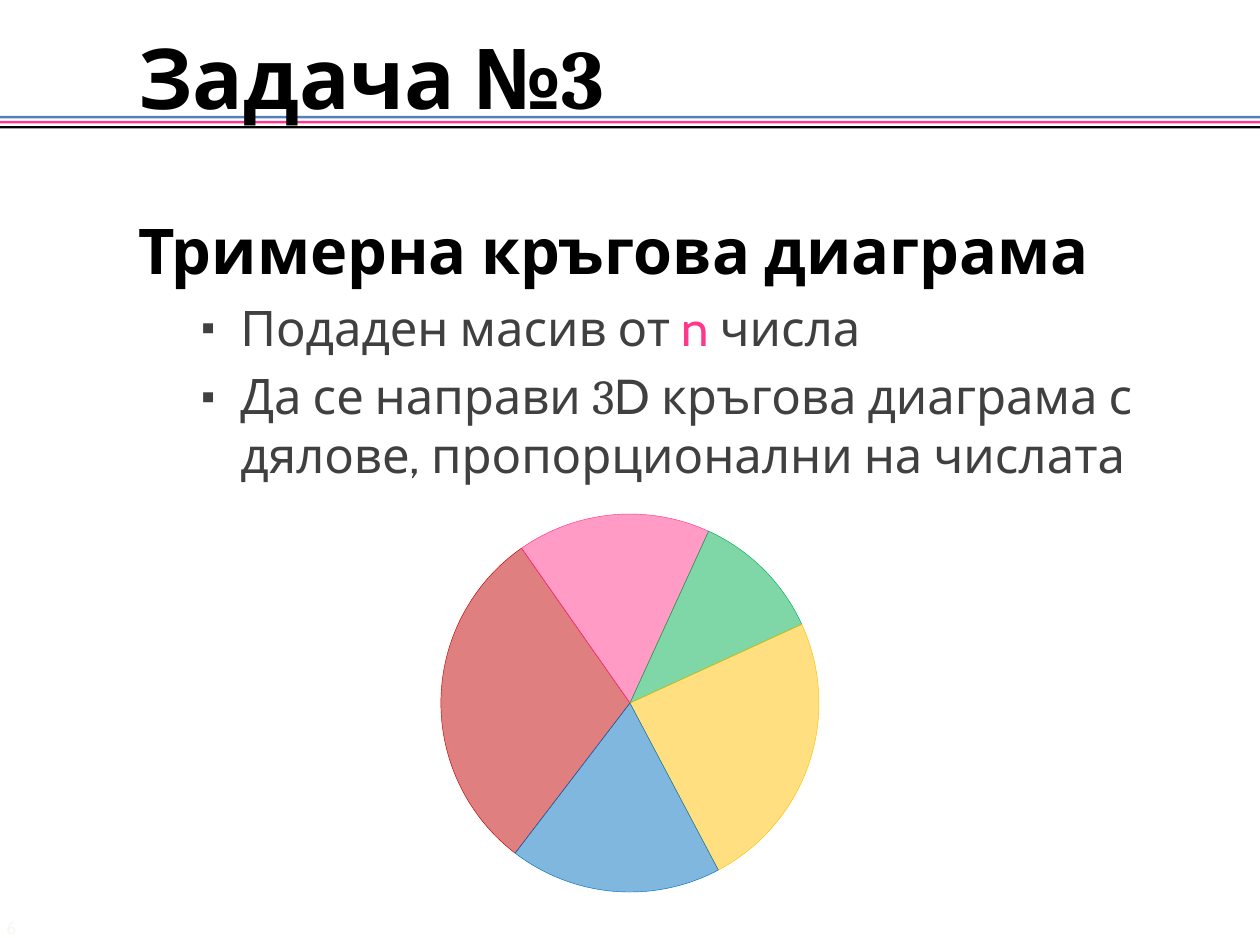
from lxml import etree
from pptx import Presentation
from pptx.dml.color import RGBColor
from pptx.enum.shapes import MSO_SHAPE
from pptx.enum.text import MSO_ANCHOR
from pptx.oxml.ns import qn
from pptx.util import Inches, Pt

RECTANGLE, PIE = MSO_SHAPE.RECTANGLE, MSO_SHAPE.PIE
TOP, MIDDLE = MSO_ANCHOR.TOP, MSO_ANCHOR.MIDDLE

THEME = {
    "blue": "4F81BD", "pink": "FF388C", "black": "000000", "gray": "404040",
    "pale": "F8F8F0", "main": "Cabin", "digits": "Cambria",
    "title": 48, "heading": 36, "body": 28, "number": 10,
}

TITLE = [("Задача №", "black", "main"), ("3", "black", "digits")]
HEADING = [("Тримерна кръгова диаграма", "black", "main")]
BULLETS = [
    [("Подаден масив от ", "gray", "main"), ("n ", "pink", "main"), ("числа", "gray", "main")],
    [("Да се направи ", "gray", "main"), ("3", "gray", "digits"),
     ("D кръгова диаграма с дялове, пропорционални на числата", "gray", "main")],
]
SLIDE_NUMBER = [("6", "pale", "main")]
STRIPES = ["blue", "pink", "black"]
FIRST_ANGLE = 127.4
SLICES = [("C00000", 107.6), ("FF388C", 59.6), ("00B050", 40.8), ("FFC000", 86.7), ("0070C0", 65.3)]


def add_text_box(slide, left, top, width, height, anchor=TOP, side_inset=0.1):
    """Add a wrapping text box and return its text frame."""
    frame = slide.shapes.add_textbox(
        Inches(left), Inches(top), Inches(width), Inches(height)).text_frame
    frame.word_wrap = True
    frame.vertical_anchor = anchor
    frame.margin_left = frame.margin_right = Inches(side_inset)
    return frame


def write_runs(paragraph, runs, size, bold=False):
    """Fill a paragraph with coloured runs."""
    for text, color, font in runs:
        run = paragraph.add_run()
        run.text = text
        run.font.size = Pt(THEME[size])
        run.font.bold = bold
        run.font.name = THEME[font]
        run.font.color.rgb = RGBColor.from_string(THEME[color])


def indent(paragraph, margin, first_line=0):
    """Set the left margin and first-line indent, in inches."""
    properties = paragraph._p.get_or_add_pPr()
    properties.set("marL", str(Inches(margin)))
    properties.set("indent", str(Inches(first_line)))
    return properties


def add_bullet(paragraph):
    """Give a paragraph a small square bullet with a hanging indent."""
    properties = indent(paragraph, 0.81, -0.31)
    color = etree.SubElement(properties, qn("a:buClr"))
    etree.SubElement(color, qn("a:srgbClr"), val=THEME["gray"])
    etree.SubElement(properties, qn("a:buSzPct"), val="70000")
    etree.SubElement(properties, qn("a:buFont"), typeface=THEME["main"])
    etree.SubElement(properties, qn("a:buChar"), char="▪")


def add_stripes(slide):
    """Draw the three stripes below the title."""
    group = slide.shapes.add_group_shape()
    for index, color in enumerate(STRIPES):
        stripe = group.shapes.add_shape(
            RECTANGLE, Inches(-0.08), Inches(0.92 + 0.04 * index), Inches(10.17), Inches(0.02))
        stripe.shadow.inherit = False
        stripe.fill.solid()
        stripe.fill.fore_color.rgb = RGBColor.from_string(THEME[color])
        stripe.line.fill.background()


def add_pie(slide):
    """Draw the translucent slices, each starting where the last one ends."""
    group = slide.shapes.add_group_shape()
    start = FIRST_ANGLE
    for color, sweep in SLICES:
        end = (start + sweep) % 360
        piece = group.shapes.add_shape(PIE, Inches(3.5), Inches(4.08), Inches(3), Inches(3))
        piece.adjustments[0] = start * 0.6
        piece.adjustments[1] = end * 0.6
        piece.shadow.inherit = False
        piece.fill.solid()
        piece.fill.fore_color.rgb = RGBColor.from_string(color)
        fill_color = piece._element.spPr.find(qn("a:solidFill"))[0]
        etree.SubElement(fill_color, qn("a:alpha"), val="50000")
        piece.line.color.rgb = RGBColor.from_string(color)
        piece.line.width = Pt(0.25)
        start = end


def main():
    """Build the slide and save it."""
    presentation = Presentation()
    presentation.slide_width, presentation.slide_height = Inches(10), Inches(7.5)
    slide = presentation.slides.add_slide(presentation.slide_layouts[6])

    add_stripes(slide)

    title = add_text_box(slide, 0, 0.25, 10, 0.71, MIDDLE).paragraphs[0]
    write_runs(title, TITLE, "title", bold=True)
    indent(title, 1)

    body = add_text_box(slide, 1, 1.33, 8.92, 6.08)
    heading = body.paragraphs[0]
    heading.line_spacing = 1.5
    heading.space_before = Pt(0.2 * THEME["heading"])
    write_runs(heading, HEADING, "heading", bold=True)
    for runs in BULLETS:
        paragraph = body.add_paragraph()
        paragraph.space_before = Pt(0.2 * THEME["body"])
        write_runs(paragraph, runs, "body")
        add_bullet(paragraph)

    add_pie(slide)
    number = add_text_box(slide, 0, 7.22, 0.5, 0.28, MIDDLE, side_inset=0.05)
    write_runs(number.paragraphs[0], SLIDE_NUMBER, "number")
    presentation.save("out.pptx")


if __name__ == "__main__":
    main()
